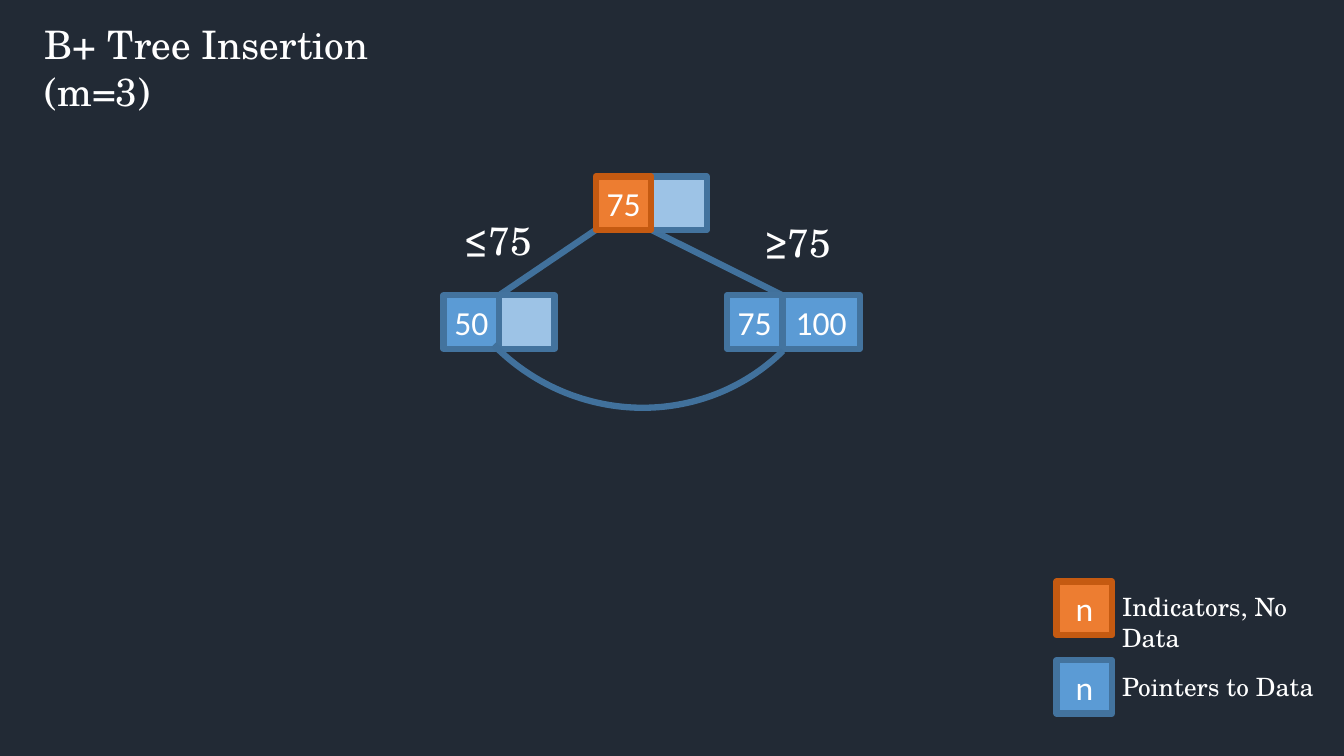
from dataclasses import dataclass

import pptx
import pptx.dml.color
import pptx.enum.shapes
import pptx.enum.text
import pptx.oxml.ns
import pptx.util
from lxml import etree

Inches = pptx.util.Inches
Pt = pptx.util.Pt
Rgb = pptx.dml.color.RGBColor.from_string
MSO_SHAPE = pptx.enum.shapes.MSO_SHAPE
PP_ALIGN = pptx.enum.text.PP_ALIGN
MSO_ANCHOR = pptx.enum.text.MSO_ANCHOR


@dataclass(frozen=True)
class Theme:
    background: str = "222A35"
    text: str = "FFFFFF"
    edge: str = "41719C"
    serif: str = "TeX Gyre Schola"
    sans: str = "Calibri"
    title_size: int = 28
    key_size: int = 24
    legend_size: int = 18
    line_width: float = 4.5


@dataclass(frozen=True)
class CellStyle:
    fill: str
    line: str


@dataclass(frozen=True)
class Cell:
    text: str
    style: CellStyle
    width: float = 0.55


@dataclass(frozen=True)
class Node:
    left: float
    top: float
    cells: tuple[Cell, ...]


@dataclass(frozen=True)
class Label:
    text: str
    left: float
    top: float
    width: float
    height: float
    size: int


THEME = Theme()
INDICATOR = CellStyle("ED7D31", "C55A11")
POINTER = CellStyle("5B9BD5", "43739E")
EMPTY = CellStyle("9DC3E6", "43739E")
CELL_W, CELL_H = 0.55, 0.53

ROOT = Node(5.91, 1.75, (Cell("75", INDICATOR), Cell("", EMPTY)))
LEFT_LEAF = Node(4.4, 2.93, (Cell("50", POINTER), Cell("", EMPTY)))
RIGHT_LEAF = Node(7.21, 2.93, (Cell("75", POINTER), Cell("100", POINTER, 0.77)))
LEGEND = (
    Node(10.48, 5.77, (Cell("n", INDICATOR),)),
    Node(10.48, 6.55, (Cell("n", POINTER),)),
)
LABELS = (
    Label("≤75", 4.51, 2.1, 1.44, 0.57, THEME.title_size),
    Label("≥75", 7.48, 2.12, 0.98, 0.57, THEME.title_size),
    Label("Indicators, No Data", 11.03, 5.82, 2.31, 0.71, THEME.legend_size),
    Label("Pointers to Data", 11.03, 6.61, 2.31, 0.4, THEME.legend_size),
)


def write(sp, text: str, *, size: int, font: str = THEME.serif,
          align=PP_ALIGN.LEFT, anchor=MSO_ANCHOR.TOP) -> None:
    tf = sp.text_frame
    tf.word_wrap = True
    tf.auto_size = pptx.enum.text.MSO_AUTO_SIZE.NONE
    tf.vertical_anchor = anchor
    p = tf.paragraphs[0]
    p.alignment = align
    r = p.add_run()
    r.text = text
    r.font.size = Pt(size)
    r.font.name = font
    r.font.color.rgb = Rgb(THEME.text)


def set_line(sp, color: str) -> None:
    sp.line.color.rgb = Rgb(color)
    sp.line.width = Pt(THEME.line_width)


def draw_edge(shapes, start: tuple[float, float], end: tuple[float, float]) -> None:
    line = shapes.add_connector(pptx.enum.shapes.MSO_CONNECTOR.STRAIGHT,
                                *map(Inches, start + end))
    set_line(line, THEME.edge)
    etree.SubElement(line._element.spPr, pptx.oxml.ns.qn("a:effectLst"))


def draw_node(shapes, node: Node) -> None:
    # Right to left, so that the border of the first cell stays on top
    right = node.left + sum(cell.width for cell in node.cells)
    for cell in reversed(node.cells):
        right -= cell.width
        sp = shapes.add_shape(MSO_SHAPE.RECTANGLE, Inches(right), Inches(node.top),
                              Inches(cell.width), Inches(CELL_H))
        sp.shadow.inherit = False
        sp.fill.solid()
        sp.fill.fore_color.rgb = Rgb(cell.style.fill)
        set_line(sp, cell.style.line)
        if cell.text:
            sp.text_frame.margin_left = sp.text_frame.margin_right = 0
            write(sp, cell.text, size=THEME.key_size, font=THEME.sans,
                  align=PP_ALIGN.CENTER, anchor=MSO_ANCHOR.MIDDLE)


def draw_label(shapes, label: Label) -> None:
    sp = shapes.add_textbox(Inches(label.left), Inches(label.top),
                            Inches(label.width), Inches(label.height))
    write(sp, label.text, size=label.size)


def draw_leaf_link(shapes) -> None:
    arc = shapes.add_shape(MSO_SHAPE.ARC, Inches(4.32), Inches(-0.04),
                           Inches(4.01), Inches(4.11))
    arc.rotation = 135.5
    arc.shadow.inherit = False
    arc.fill.background()
    set_line(arc, THEME.edge)


# Slide and background
prs = pptx.Presentation()
prs.slide_width, prs.slide_height = Inches(13.33), Inches(7.5)
slide = prs.slides.add_slide(prs.slide_layouts[5])
slide.background.fill.solid()
slide.background.fill.fore_color.rgb = Rgb(THEME.background)
shapes = slide.shapes

# Title
title = shapes.title
title.left, title.top = Inches(0.34), Inches(0.15)
title.width, title.height = Inches(3.66), Inches(1.04)
write(title, "B+ Tree Insertion (m=3)", size=THEME.title_size)

# Edges from the root to the middle of each leaf
for i, leaf in enumerate((LEFT_LEAF, RIGHT_LEAF)):
    draw_edge(shapes, (ROOT.left + i * CELL_W, ROOT.top + CELL_H),
              (leaf.left + CELL_W, leaf.top))

# Tree nodes and legend keys
for node in (ROOT, LEFT_LEAF, RIGHT_LEAF, *LEGEND):
    draw_node(shapes, node)

# Edge conditions and legend captions
for label in LABELS:
    draw_label(shapes, label)

# Link between the leaves
draw_leaf_link(shapes)

prs.save("out.pptx")
